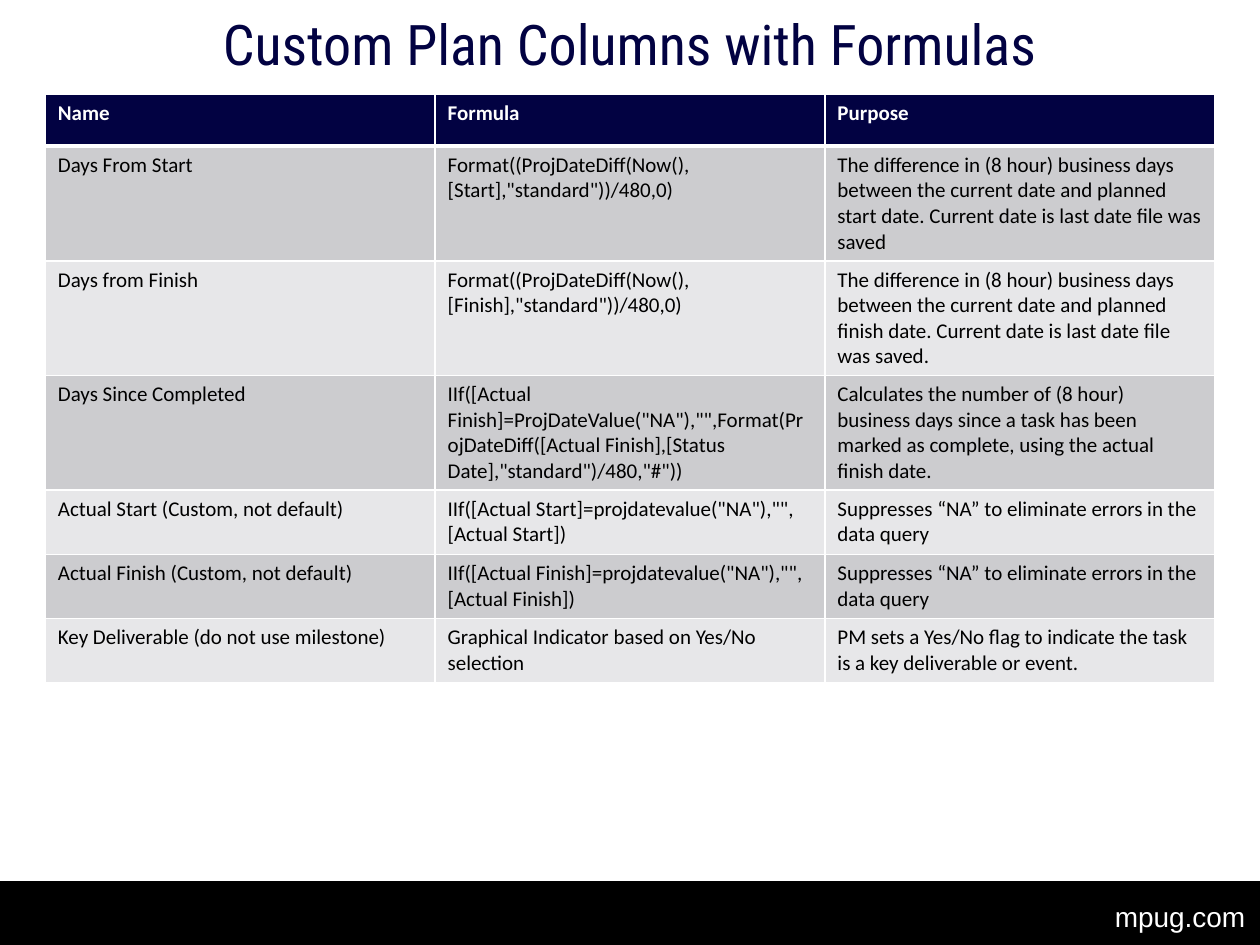
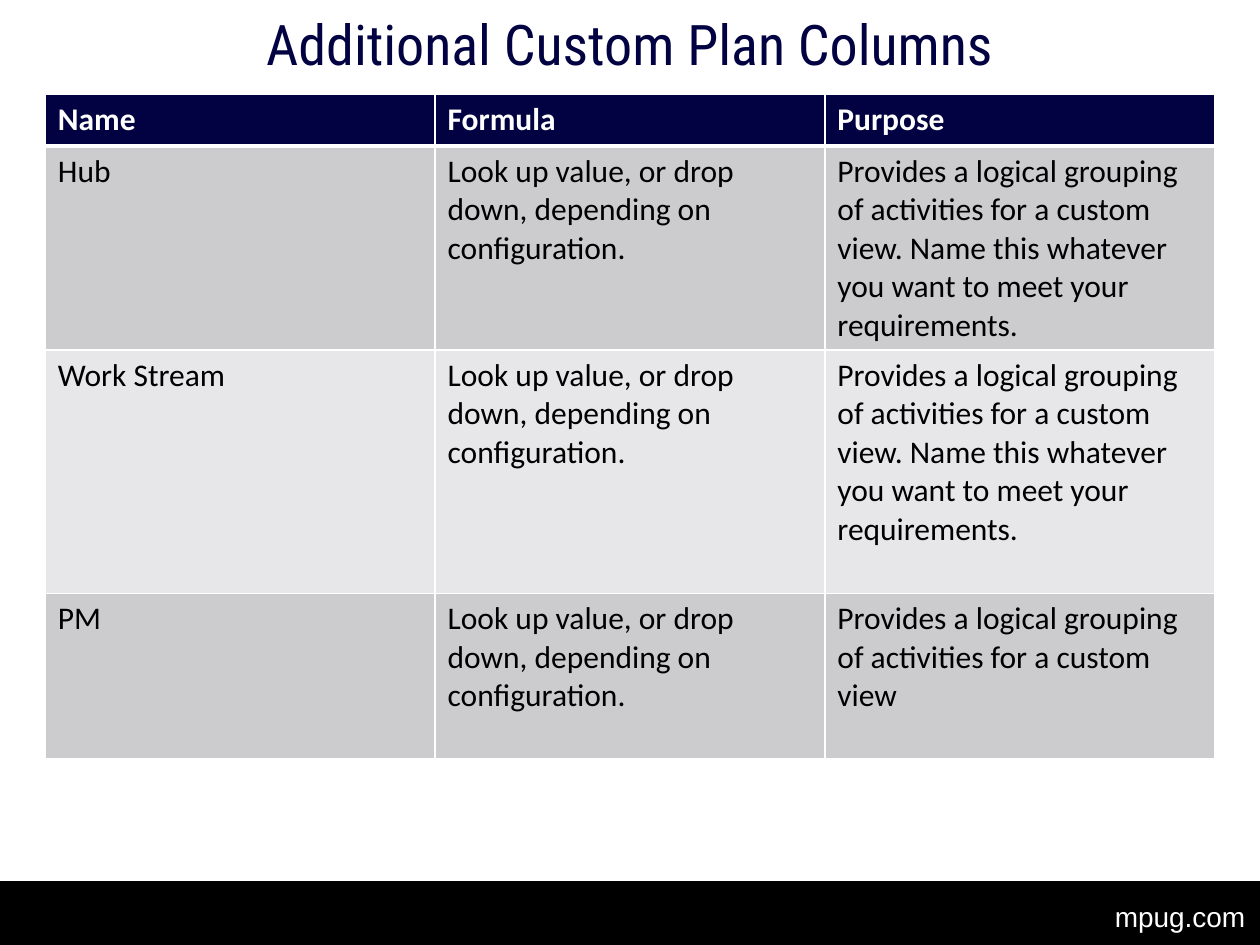
from lxml.etree import SubElement
from pptx import Presentation
from pptx.dml.color import RGBColor
from pptx.enum.shapes import MSO_SHAPE as Shape
from pptx.enum.text import MSO_ANCHOR as Anchor, PP_ALIGN as Align
from pptx.oxml.ns import qn
from pptx.util import Inches, Pt

# Shared look
NAVY = RGBColor(0x02, 0x02, 0x42)
BLACK = RGBColor(0x00, 0x00, 0x00)
WHITE = RGBColor(0xFF, 0xFF, 0xFF)
BAND_FILLS = (RGBColor(0xCC, 0xCC, 0xCF), RGBColor(0xE7, 0xE7, 0xE9))
TITLE_FONT, TABLE_FONT, FOOTER_FONT = "Roboto Condensed", "Calibri", "Arial"

SLIDE_WIDTH, SLIDE_HEIGHT = Inches(10), Inches(7.5)
MARGIN = Inches(0.36)
CONTENT_WIDTH = SLIDE_WIDTH - 2 * MARGIN
TITLE_HEIGHT = SLIDE_HEIGHT // 10
FOOTER_HEIGHT = SLIDE_HEIGHT // 15
HEADER_ROW_HEIGHT = 0.41

# Table content
HEADERS = ("Name", "Formula", "Purpose")
NO_ERRORS = "Suppresses “NA” to eliminate errors in the data query"
FORMULA_ROWS = [
    ("Days From Start",
     'Format((ProjDateDiff(Now(),[Start],"standard"))/480,0)',
     "The difference in (8 hour) business days between the current date and "
     "planned start date. Current date is last date file was saved"),
    ("Days from Finish",
     'Format((ProjDateDiff(Now(),[Finish],"standard"))/480,0)',
     "The difference in (8 hour) business days between the current date and "
     "planned finish date. Current date is last date file was saved."),
    ("Days Since Completed",
     'IIf([Actual Finish]=ProjDateValue("NA"),"",Format(ProjDateDiff('
     '[Actual Finish],[Status Date],"standard")/480,"#"))',
     "Calculates the number of (8 hour) business days since a task has been "
     "marked as complete, using the actual finish date."),
    ("Actual Start (Custom, not default)",
     'IIf([Actual Start]=projdatevalue("NA"),"",[Actual Start])', NO_ERRORS),
    ("Actual Finish (Custom, not default)",
     'IIf([Actual Finish]=projdatevalue("NA"),"",[Actual Finish])', NO_ERRORS),
    ("Key Deliverable (do not use milestone)",
     "Graphical Indicator based on Yes/No selection",
     "PM sets a Yes/No flag to indicate the task is a key deliverable or event."),
]
LOOK_UP = "Look up value, or drop down, depending on configuration."
GROUPING = "Provides a logical grouping of activities for a custom view"
NAMING = ". Name this whatever you want to meet your requirements."
GROUPING_ROWS = [
    ("Hub", LOOK_UP, GROUPING + NAMING),
    ("Work Stream", LOOK_UP, GROUPING + NAMING),
    ("PM", LOOK_UP, GROUPING),
]


def add_run(paragraph, text, font_name, size, color, bold=False):
    run = paragraph.add_run()
    run.text = text
    run.font.name = font_name
    run.font.size = Pt(size)
    run.font.color.rgb = color
    run.font.bold = bold


def add_title(slide, text):
    box = slide.shapes.add_textbox(MARGIN, 0, CONTENT_WIDTH, TITLE_HEIGHT)
    frame = box.text_frame
    frame.word_wrap = True
    frame.vertical_anchor = Anchor.MIDDLE
    paragraph = frame.paragraphs[0]
    paragraph.alignment = Align.CENTER
    paragraph.line_spacing = 0.9
    add_run(paragraph, text, TITLE_FONT, 32, NAVY)


def add_footer(slide):
    top = SLIDE_HEIGHT - FOOTER_HEIGHT
    band = slide.shapes.add_shape(Shape.RECTANGLE, 0, top, SLIDE_WIDTH, FOOTER_HEIGHT)
    band.shadow.inherit = False
    band.fill.solid()
    band.fill.fore_color.rgb = BLACK
    band.line.color.rgb = BLACK
    band.line.width = Pt(0.75)

    width = SLIDE_WIDTH // 8
    address = slide.shapes.add_textbox(
        SLIDE_WIDTH - width, top + Inches(0.09), width, Inches(0.37))
    address.text_frame.word_wrap = False
    add_run(address.text_frame.paragraphs[0], "mpug.com", FOOTER_FONT, 16, WHITE)


def set_borders(cell, top=1, bottom=1):
    properties = cell._tc.get_or_add_tcPr()
    for side, width in (("L", 1), ("R", 1), ("T", top), ("B", bottom)):
        line = SubElement(properties, qn(f"a:ln{side}"), w=str(Pt(width)))
        fill = SubElement(line, qn("a:solidFill"))
        SubElement(fill, qn("a:srgbClr"), val=str(WHITE))


def fill_cell(cell, text, size, row_index):
    is_header = row_index == 0
    # A thick rule parts the header from the body
    set_borders(cell, top=3 if row_index == 1 else 1, bottom=3 if is_header else 1)
    cell.fill.solid()
    cell.fill.fore_color.rgb = NAVY if is_header else BAND_FILLS[(row_index - 1) % 2]
    add_run(cell.text_frame.paragraphs[0], text, TABLE_FONT, size,
            WHITE if is_header else BLACK, bold=is_header)


def add_column_table(slide, body_rows, body_heights, size):
    rows = [HEADERS, *body_rows]
    heights = [HEADER_ROW_HEIGHT, *body_heights]
    table = slide.shapes.add_table(
        len(rows), len(HEADERS), MARGIN, TITLE_HEIGHT,
        CONTENT_WIDTH, Inches(sum(heights))).table
    for row_index, (texts, height) in enumerate(zip(rows, heights)):
        table.rows[row_index].height = Inches(height)
        for column_index, text in enumerate(texts):
            fill_cell(table.cell(row_index, column_index), text, size, row_index)


def add_table_slide(presentation, title, body_rows, body_heights, size):
    slide = presentation.slides.add_slide(presentation.slide_layouts[6])
    add_footer(slide)
    add_title(slide, title)
    add_column_table(slide, body_rows, body_heights, size)


def main():
    presentation = Presentation()
    presentation.slide_width = SLIDE_WIDTH
    presentation.slide_height = SLIDE_HEIGHT
    add_table_slide(presentation, "Custom Plan Columns with Formulas",
                    FORMULA_ROWS, [0.91] * 3 + [0.51] * 3, size=12)
    add_table_slide(presentation, "Additional Custom Plan Columns",
                    GROUPING_ROWS, [1.62, 1.93, 1.31], size=18)
    presentation.save("out.pptx")


if __name__ == "__main__":
    main()
